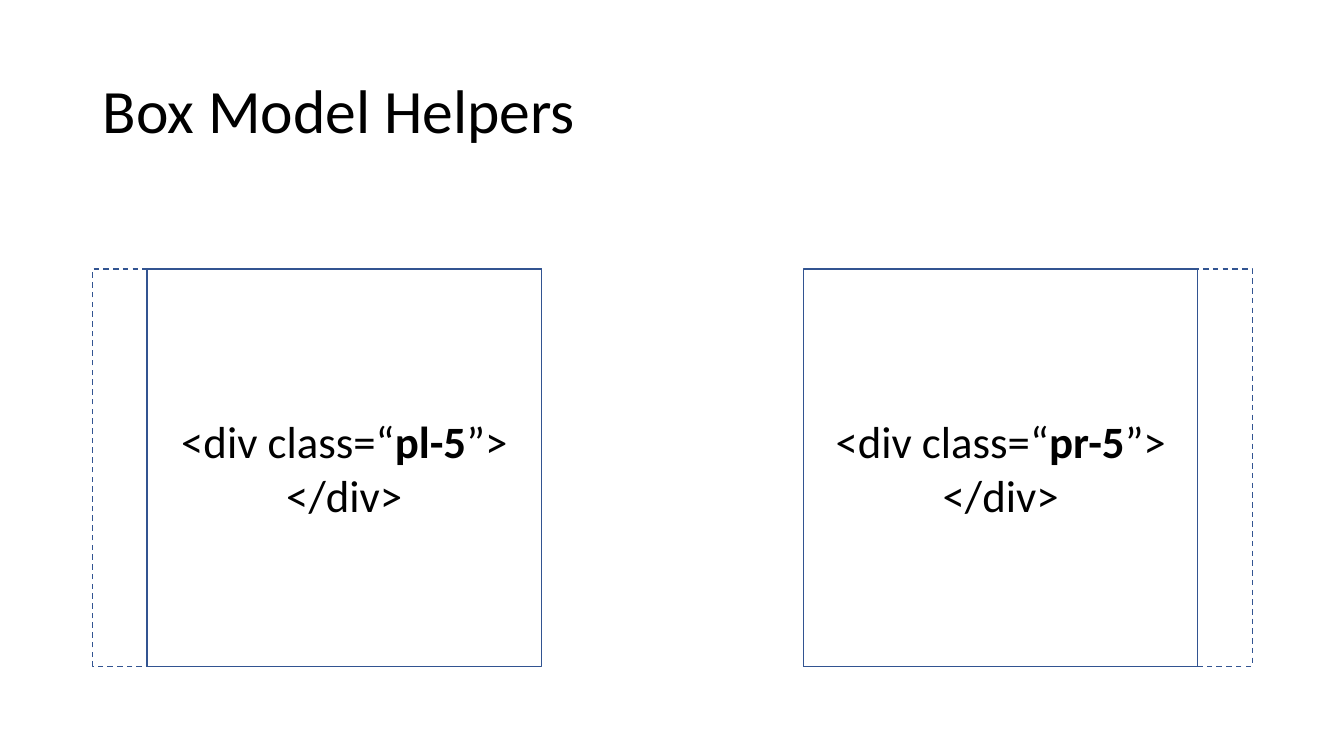
import dataclasses

import pptx
import pptx.dml.color
import pptx.enum.dml
import pptx.enum.shapes
import pptx.enum.text
import pptx.util


@dataclasses.dataclass(frozen=True)
class Theme:
    font: str = "Calibri"
    ink: str = "000000"
    paper: str = "FFFFFF"
    border: str = "325491"
    title_size: int = 44
    code_size: int = 32
    border_width: int = 1


def px(length):
    return pptx.util.Emu(length * 9144)


def rgb(value):
    return pptx.dml.color.RGBColor.from_string(value)


def set_formats(target, formats):
    for name, value in formats.items():
        setattr(target, name, value)


class BoxModelPage:
    """Draws titles and boxes on one slide in a shared theme."""

    def __init__(self, page, theme):
        self.page = page
        self.theme = theme

    def fill_text(self, shape, lines, size, para_formats):
        frame = shape.text_frame
        set_formats(frame, {"word_wrap": True,
                            "vertical_anchor": pptx.enum.text.MSO_ANCHOR.MIDDLE})
        for index, line in enumerate(lines):
            para = frame.add_paragraph() if index else frame.paragraphs[0]
            set_formats(para, para_formats)
            for text, bold in line:
                span = para.add_run()
                span.text = text
                set_formats(span.font, {"name": self.theme.font, "bold": bold,
                                        "size": pptx.util.Pt(size)})
                span.font.color.rgb = rgb(self.theme.ink)

    def title(self, left, top, width, height, text):
        box = self.page.shapes.add_textbox(*map(px, (left, top, width, height)))
        self.fill_text(box, [[(text, False)]], self.theme.title_size,
                       {"line_spacing": 0.9})

    def rectangle(self, left, top, width, height):
        box = self.page.shapes.add_shape(
            pptx.enum.shapes.MSO_SHAPE.RECTANGLE, *map(px, (left, top, width, height)))
        box.shadow.inherit = False
        box.line.color.rgb = rgb(self.theme.border)
        box.line.width = pptx.util.Pt(self.theme.border_width)
        return box

    def content_box(self, left, top, width, height, lines):
        box = self.rectangle(left, top, width, height)
        box.fill.solid()
        box.fill.fore_color.rgb = rgb(self.theme.paper)
        self.fill_text(box, lines, self.theme.code_size,
                       {"alignment": pptx.enum.text.PP_ALIGN.CENTER})

    def padding_box(self, left, top, width, height):
        box = self.rectangle(left, top, width, height)
        box.fill.background()
        box.line.dash_style = pptx.enum.dml.MSO_LINE.DASH


def main():
    deck = pptx.Presentation()
    set_formats(deck, {"slide_width": px(1333), "slide_height": px(750)})
    drawing = BoxModelPage(deck.slides.add_slide(deck.slide_layouts[6]), Theme())
    drawing.title(92, 40, 1150, 145, "Box Model Helpers")

    top, height, content_width, padding = 267, 394, 391, 54
    for helper, left, left_padding in (("pl-5", 92, padding), ("pr-5", 797, 0)):
        lines = [[("<div class=“", False), (helper, True), ("”>", False)],
                 [("</div>", False)]]
        drawing.content_box(left + left_padding, top, content_width, height, lines)
        drawing.padding_box(left, top, content_width + padding, height)

    deck.save("out.pptx")


if __name__ == "__main__":
    main()
